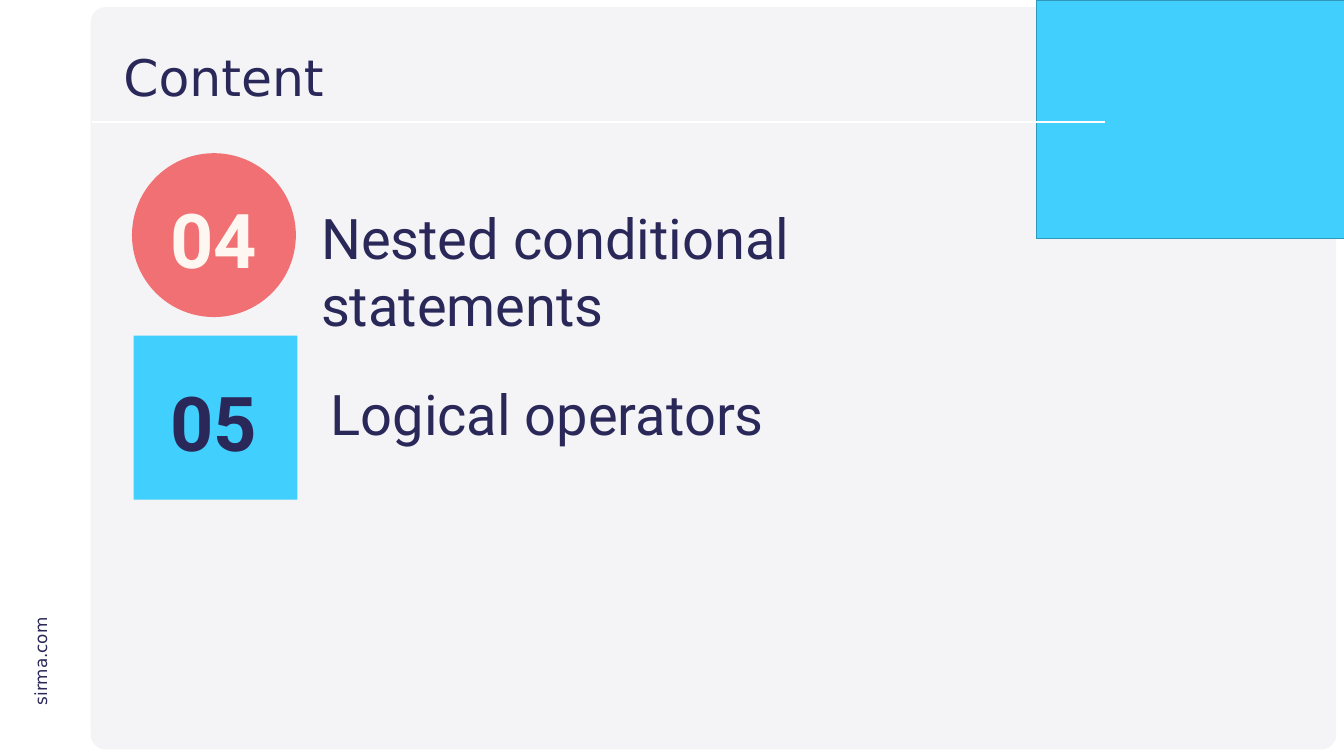
from lxml.etree import SubElement
from pptx import Presentation
from pptx.dml.color import RGBColor
from pptx.enum.shapes import MSO_CONNECTOR, MSO_SHAPE as SHAPE
from pptx.enum.text import MSO_ANCHOR as ANCHOR, MSO_AUTO_SIZE as AUTO, PP_ALIGN as ALIGN
from pptx.oxml.ns import qn
from pptx.util import Cm, Pt

NAVY = RGBColor(0x2A, 0x28, 0x59)
CYAN = RGBColor(0x41, 0xCF, 0xFD)
CYAN_EDGE = RGBColor(0x30, 0x99, 0xBB)
CORAL = RGBColor(0xF1, 0x70, 0x73)
CREAM = RGBColor(0xFE, 0xF6, 0xF0)
PANEL = RGBColor(0xF4, 0xF4, 0xF7)
WHITE = RGBColor(0xFF, 0xFF, 0xFF)

SANS, ROBOTO = "DejaVu Sans", "Roboto"
WIDTH, HEIGHT = 67.72, 38.1
CORNER_LEFT = 52.22
RULE_LEFT, RULE_RIGHT, RULE_Y = 4.65, 55.7, 6.17
BADGE_TOP, BADGE_SIZE, PITCH = 7.72, 8.26, 9.2

TITLE = "Content"
SITE = "sirma.com"
TOPICS = [
    dict(number="04", label="Nested conditional statements", shape=SHAPE.OVAL,
         fill=CORAL, ink=CREAM, badge_left=6.65, label_box=(15.93, 2.41, 35.86)),
    dict(number="05", label="Logical operators", shape=SHAPE.RECTANGLE,
         fill=CYAN, ink=NAVY, badge_left=6.73, label_box=(16.41, 2.08, 39.29)),
]


def add_block(s, kind, box, fill, edge=None):
    sp = s.shapes.add_shape(kind, *map(Cm, box))
    sp.shadow.inherit = False
    sp.fill.solid()
    sp.fill.fore_color.rgb = fill
    if edge:
        sp.line.color.rgb = edge
        sp.line.width = Pt(1)
    else:
        sp.line.fill.background()
    return sp


def add_text(s, text, box, size, font, color=NAVY, bold=False, align=ALIGN.LEFT,
             anchor=ANCHOR.TOP, wrap=True, fit=AUTO.SHAPE_TO_FIT_TEXT):
    sp = s.shapes.add_textbox(*map(Cm, box))
    tf = sp.text_frame
    tf.word_wrap = wrap
    tf.auto_size = fit
    tf.vertical_anchor = anchor
    p = tf.paragraphs[0]
    p.text = text
    p.alignment = align
    p.font.size = Pt(size)
    p.font.name = font
    p.font.bold = bold
    p.font.color.rgb = color
    return sp


def add_rule(s):
    rule = s.shapes.add_connector(MSO_CONNECTOR.STRAIGHT, Cm(RULE_LEFT), Cm(RULE_Y),
                                  Cm(RULE_RIGHT), Cm(RULE_Y))
    rule.line.color.rgb = WHITE
    rule.line.width = Pt(3)
    SubElement(rule._element.spPr, qn("a:effectLst"))


def add_topic(s, i, topic):
    top = BADGE_TOP + i * PITCH
    add_block(s, topic["shape"], (topic["badge_left"], top, BADGE_SIZE, BADGE_SIZE),
              topic["fill"])
    add_text(s, topic["number"], (6.05, top + 1.83, 9.45, 4.88), 108, ROBOTO,
             topic["ink"], True, ALIGN.CENTER, ANCHOR.BOTTOM)
    left, drop, width = topic["label_box"]
    add_text(s, topic["label"], (left, top + drop, width, 3.68), 80, ROBOTO)


def main():
    prs = Presentation()
    prs.slide_width, prs.slide_height = Cm(WIDTH), Cm(HEIGHT)
    s = prs.slides.add_slide(prs.slide_layouts[6])

    panel = add_block(s, SHAPE.ROUNDED_RECTANGLE, (4.57, 0.36, 62.76, 37.41), PANEL)
    panel.adjustments[0] = 0.02
    site = add_text(s, SITE, (-0.46, 32.66, 5, 1.27), 24, SANS, wrap=False)
    site.rotation = 270
    add_block(s, SHAPE.RECTANGLE, (CORNER_LEFT, 0, WIDTH - CORNER_LEFT, 12.01),
              CYAN, CYAN_EDGE)
    add_block(s, SHAPE.RECTANGLE, (RULE_LEFT, 1.35, 46.58, 6.05), PANEL)
    add_rule(s)

    title = add_text(s, TITLE, (5.97, 2.03, 49.71, 4.01), 72, SANS,
                     anchor=ANCHOR.MIDDLE, fit=AUTO.NONE)
    title.text_frame.paragraphs[0].line_spacing = 0.9
    for i, topic in enumerate(TOPICS):
        add_topic(s, i, topic)

    prs.save("out.pptx")


if __name__ == "__main__":
    main()
